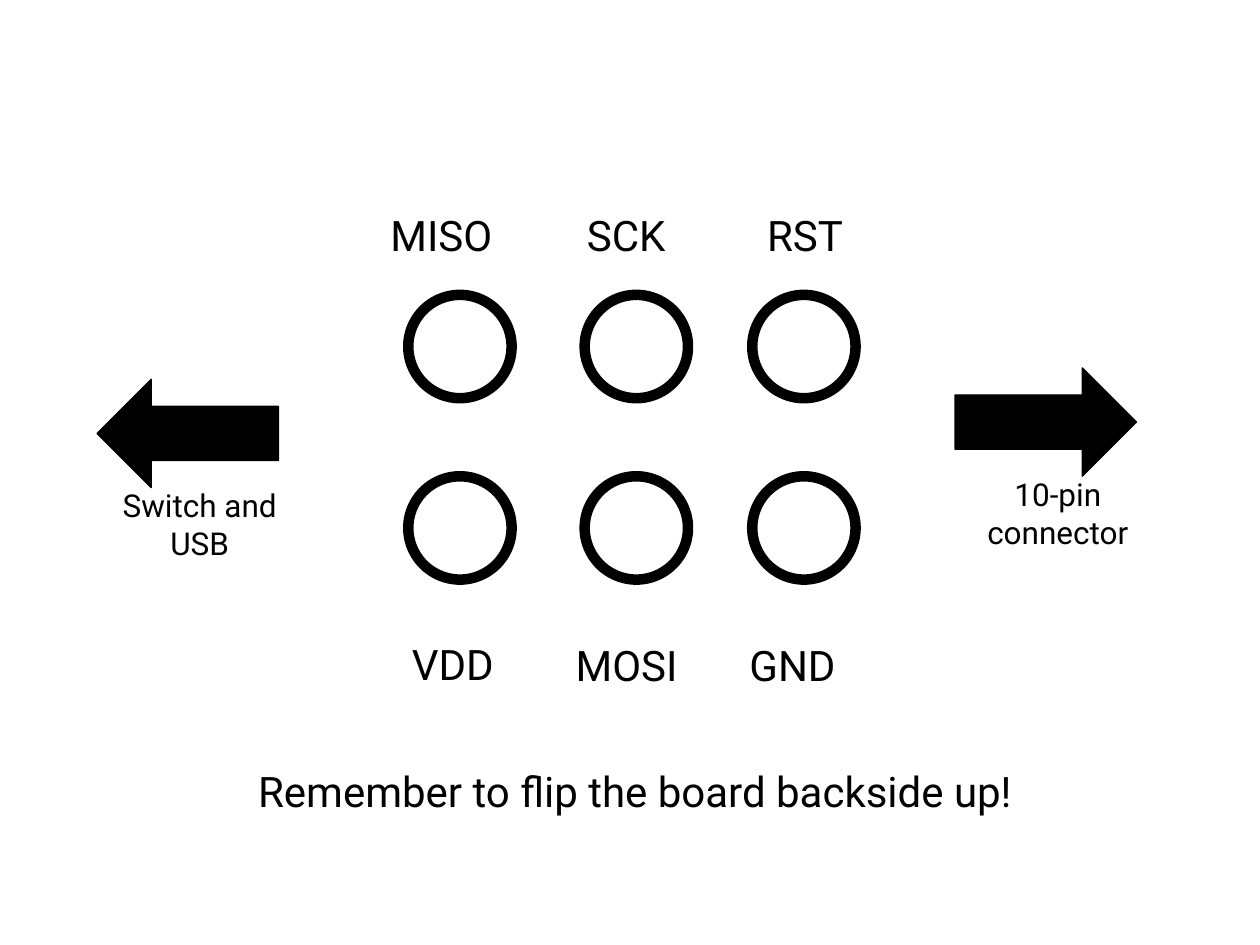
from pptx import Presentation
from pptx import util as u
from pptx.dml.color import RGBColor
from pptx.enum import shapes, text

PX = 9144
COLOURS = {"ink": "000000", "paper": "FFFFFF"}
BOX_FORMAT = {"word_wrap": True, "auto_size": text.MSO_AUTO_SIZE.SHAPE_TO_FIT_TEXT}


class Board:
    def __init__(self, deck, font):
        self.font = font
        self.page = deck.slides.add_slide(deck.slide_layouts[6])
        fill = self.page.background.fill
        fill.solid()
        fill.fore_color.rgb = self.colour("paper")

    def colour(self, name):
        return RGBColor.from_string(COLOURS[name])

    def shape(self, kind, place, line_width):
        shape = self.page.shapes.add_shape(kind, *(n * PX for n in place))
        shape.shadow.inherit = False
        shape.line.color.rgb = self.colour("ink")
        shape.line.width = u.Pt(line_width)
        return shape

    def pin(self, left, top, size):
        ring = self.shape(shapes.MSO_SHAPE.OVAL, (left, top, size, size), 6)
        ring.fill.background()

    def arrow(self, place, rotation):
        arrow = self.shape(shapes.MSO_SHAPE.RIGHT_ARROW, place, 0.75)
        arrow.fill.solid()
        arrow.fill.fore_color.rgb = self.colour("ink")
        arrow.rotation = rotation

    def label(self, words, place, size=24, align=text.PP_ALIGN.LEFT):
        box = self.page.shapes.add_textbox(*(n * PX for n in place))
        for name, value in BOX_FORMAT.items():
            setattr(box.text_frame, name, value)
        para = box.text_frame.paragraphs[0]
        para.alignment = align
        span = para.add_run()
        span.text = words
        for name, value in {"name": self.font, "size": u.Pt(size)}.items():
            setattr(span.font, name, value)
        span.font.color.rgb = self.colour("ink")


def main():
    deck = Presentation()
    deck.slide_width, deck.slide_height = 1000 * PX, 750 * PX
    board = Board(deck, "Roboto")

    for top in (234, 378):
        for left in (324, 464, 597):
            board.pin(left, top, 82)

    pin_names = [
        ("MISO", 300, 161), ("SCK", 456, 161), ("RST", 599, 161),
        ("VDD", 317, 502), ("MOSI", 447, 503), ("GND", 585, 503),
    ]
    for words, left, top in pin_names:
        board.label(words, (left, top, 106, 50))

    directions = [
        ("10-pin connector", 758, 292, 0),
        ("Switch and USB", 77, 301, 180),
    ]
    for words, left, top, rotation in directions:
        board.arrow((left, top, 144, 86), rotation)
        board.label(words, (left - 4, top + 80, 171, 71), 18, text.PP_ALIGN.CENTER)

    board.label("Remember to flip the board backside up!", (195, 603, 657, 50))
    deck.save("out.pptx")


if __name__ == "__main__":
    main()
